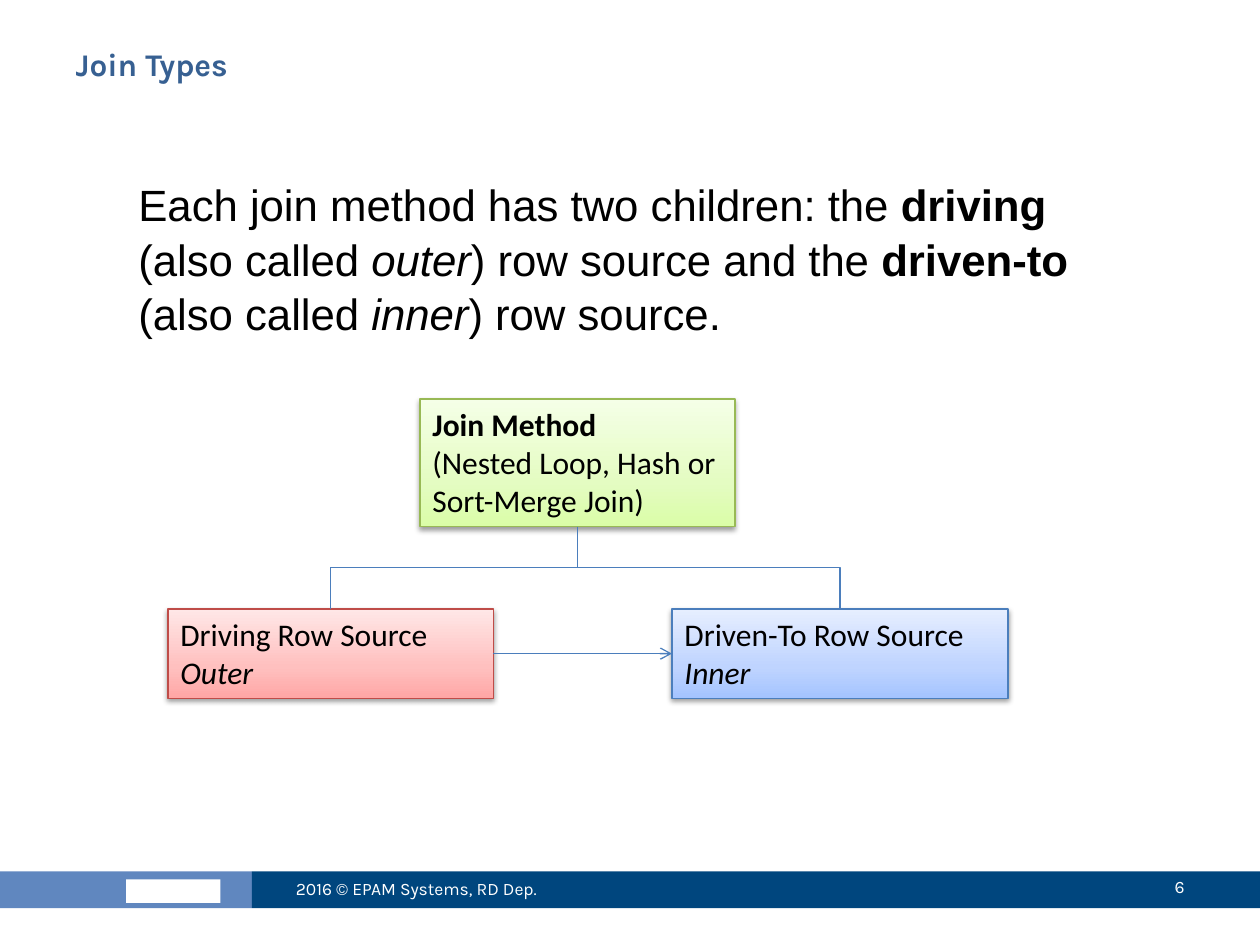
from copy import deepcopy
from lxml.etree import SubElement
from pptx import Presentation
from pptx.dml.color import RGBColor
from pptx.enum.shapes import MSO_CONNECTOR, MSO_SHAPE
from pptx.enum.text import MSO_ANCHOR, PP_ALIGN
from pptx.oxml.ns import qn
from pptx.util import Pt

BLACK = RGBColor(0x00, 0x00, 0x00)
WHITE = RGBColor(0xFF, 0xFF, 0xFF)
TITLE_BLUE = RGBColor(0x37, 0x60, 0x92)
BAR_LIGHT = RGBColor(0x60, 0x87, 0xBF)
BAR_DARK = RGBColor(0x00, 0x46, 0x7E)
RED = RGBColor(0xBF, 0x4C, 0x48)
BLUE = RGBColor(0x4B, 0x7E, 0xBC)
GREEN = RGBColor(0x98, 0xB9, 0x55)
# Gradient colours from bottom to top
RED_FADE = [RGBColor(0xFF, 0xA6, 0xA5), RGBColor(0xFF, 0xC0, 0xBF), RGBColor(0xFF, 0xE7, 0xE7)]
BLUE_FADE = [RGBColor(0xA4, 0xC4, 0xFF), RGBColor(0xBF, 0xD4, 0xFF), RGBColor(0xE6, 0xEE, 0xFF)]
GREEN_FADE = [RGBColor(0xDA, 0xFD, 0xA7), RGBColor(0xE4, 0xFC, 0xC2), RGBColor(0xF5, 0xFF, 0xE7)]


def add_run(p, text, color, **fmt):
    r = p.add_run()
    r.text = text
    r.font.color.rgb = color
    for name, value in fmt.items():
        setattr(r.font, name, value)


def add_line(kind, start, start_site, end, end_site):
    c = s.shapes.add_connector(kind, 0, 0, 0, 0)
    c.begin_connect(start, start_site)
    c.end_connect(end, end_site)
    c.line.color.rgb = BLUE
    c.line.width = Pt(0.75)
    SubElement(c._element.spPr, qn("a:effectLst"))
    return c


prs = Presentation()
prs.slide_width, prs.slide_height = Pt(720), Pt(540)
s = prs.slides.add_slide(prs.slide_layouts[5])

# Footer bars and logo block
for x, y, w, h, color in [(0, 498, 144, 21, BAR_LIGHT),
                          (144, 498, 576, 21, BAR_DARK),
                          (72, 502.5, 54, 13.5, WHITE)]:
    sp = s.shapes.add_shape(MSO_SHAPE.RECTANGLE, Pt(x), Pt(y), Pt(w), Pt(h))
    sp.shadow.inherit = False
    sp.fill.solid()
    sp.fill.fore_color.rgb = color
    sp.line.fill.background()

# Footer text and slide number
for x, y, w, text, align in [(162, 493, 192, "2016 © EPAM Systems, RD Dep.", PP_ALIGN.LEFT),
                             (606, 492, 78, "6", PP_ALIGN.RIGHT)]:
    tf = s.shapes.add_textbox(Pt(x), Pt(y), Pt(w), Pt(29)).text_frame
    tf.word_wrap = True
    tf.vertical_anchor = MSO_ANCHOR.MIDDLE
    p = tf.paragraphs[0]
    p.alignment = align
    add_run(p, text, WHITE, name="Karla", size=Pt(10))

# Title
title = s.shapes.title
title.left, title.top, title.width, title.height = Pt(36), Pt(22), Pt(648), Pt(56)
tf = title.text_frame
tf.vertical_anchor = MSO_ANCHOR.TOP
p = tf.paragraphs[0]
p.alignment = PP_ALIGN.LEFT
add_run(p, "Join Types", TITLE_BLUE, name="Karla", size=Pt(18), bold=True)

# Explanation
tf = s.shapes.add_textbox(Pt(72), Pt(97), Pt(576), Pt(120)).text_frame
tf.word_wrap = True
p = tf.paragraphs[0]
p.line_spacing = 1.04
for text, fmt in [("Each join method has two children: the ", {}),
                  ("driving", {"bold": True}),
                  (" (also called ", {}),
                  ("outer", {"italic": True}),
                  (") row source and the ", {}),
                  ("driven-to ", {"bold": True}),
                  ("(also called ", {}),
                  ("inner", {"italic": True}),
                  (") row source.", {})]:
    add_run(p, text, BLACK, name="Arial", size=Pt(25), **fmt)

# Diagram boxes
boxes = []
for x, y, w, h, line, fade, paragraphs in [
        (96, 348, 186, 51, RED, RED_FADE,
         [("Driving Row Source", {}), ("Outer", {"italic": True})]),
        (384, 348, 192, 51, BLUE, BLUE_FADE,
         [("Driven-To Row Source", {}), ("Inner", {"italic": True})]),
        (240, 228, 180, 73, GREEN, GREEN_FADE,
         [("Join Method", {"bold": True}), ("(Nested Loop, Hash or Sort-Merge Join)", {})])]:
    sp = s.shapes.add_shape(MSO_SHAPE.RECTANGLE, Pt(x), Pt(y), Pt(w), Pt(h))
    sp.line.color.rgb = line
    sp.line.width = Pt(0.75)
    sp.fill.gradient()
    sp.fill.gradient_angle = 90
    stops = sp._element.spPr.find(".//" + qn("a:gsLst"))
    stops.insert(1, deepcopy(stops[0]))
    for stop, position, color in zip(sp.fill.gradient_stops, (0, 0.35, 1), fade):
        stop.position = position
        stop.color.rgb = color
    # Soft shadow below the box
    sp.shadow.inherit = False
    effects = sp._element.spPr.find(qn("a:effectLst"))
    shadow = SubElement(effects, qn("a:outerShdw"), blurRad=str(Pt(3.1)), dist=str(Pt(1.6)),
                        dir="5400000", rotWithShape="0")
    tint = SubElement(shadow, qn("a:srgbClr"), val="000000")
    SubElement(tint, qn("a:alpha"), val="38000")
    tf = sp.text_frame
    tf.word_wrap = True
    tf.vertical_anchor = MSO_ANCHOR.TOP
    for i, (text, fmt) in enumerate(paragraphs):
        p = tf.add_paragraph() if i else tf.paragraphs[0]
        p.alignment = PP_ALIGN.LEFT
        add_run(p, text, BLACK, name="Calibri", size=Pt(18), **fmt)
    boxes.append(sp)
driving, driven, join = boxes

# Arrow from the driving to the driven-to source
c = add_line(MSO_CONNECTOR.STRAIGHT, driving, 3, driven, 1)
SubElement(c.line._get_or_add_ln(), qn("a:tailEnd"), type="arrow")

# Elbows from the join method, turned so that they leave downwards
for child, rot, flip in [(driving, "5400000", "0"), (driven, "16200000", "1")]:
    c = add_line(MSO_CONNECTOR.ELBOW, join, 2, child, 0)
    x1, y1 = join.left + join.width // 2, join.top + join.height
    x2, y2 = child.left + child.width // 2, child.top
    w, h = y2 - y1, abs(x2 - x1)
    c.left, c.top = (x1 + x2 - w) // 2, (y1 + y2 - h) // 2
    c.width, c.height = w, h
    xfrm = c._element.spPr.find(qn("a:xfrm"))
    xfrm.set("rot", rot)
    xfrm.set("flipH", flip)

prs.save("out.pptx")
